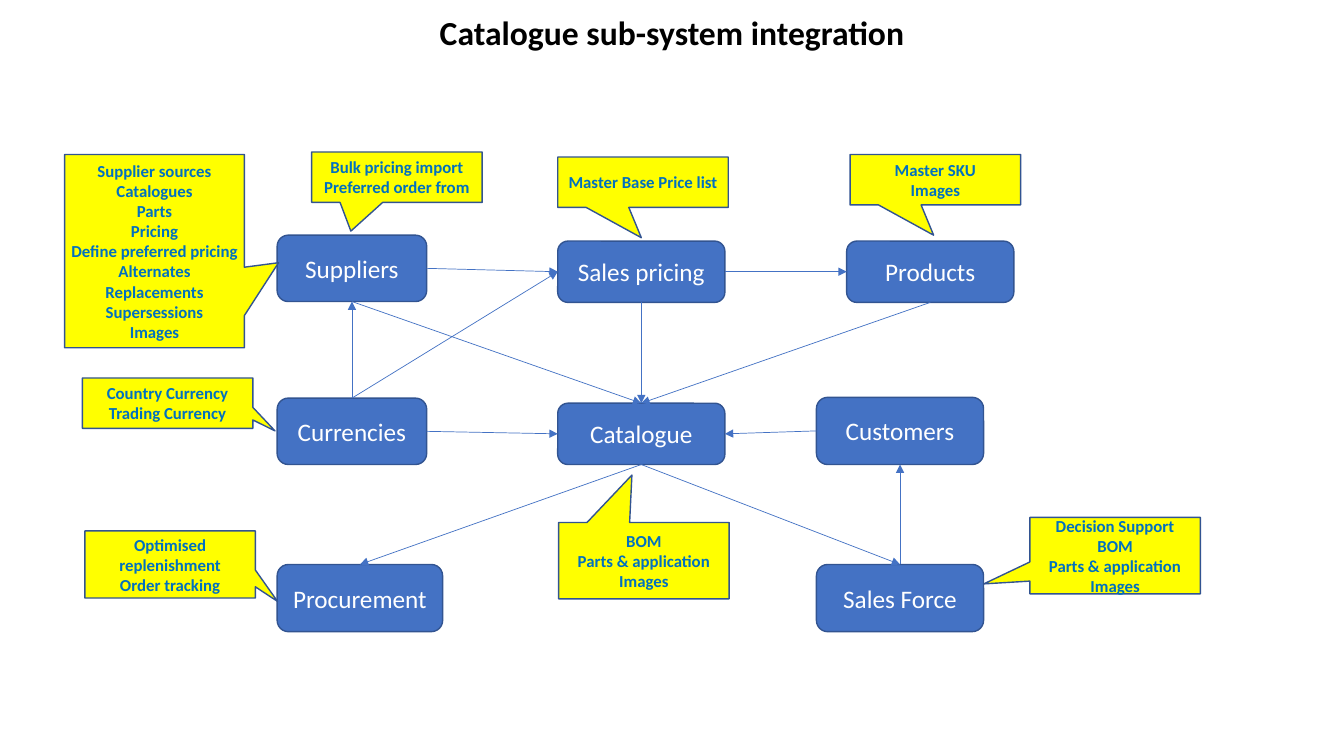
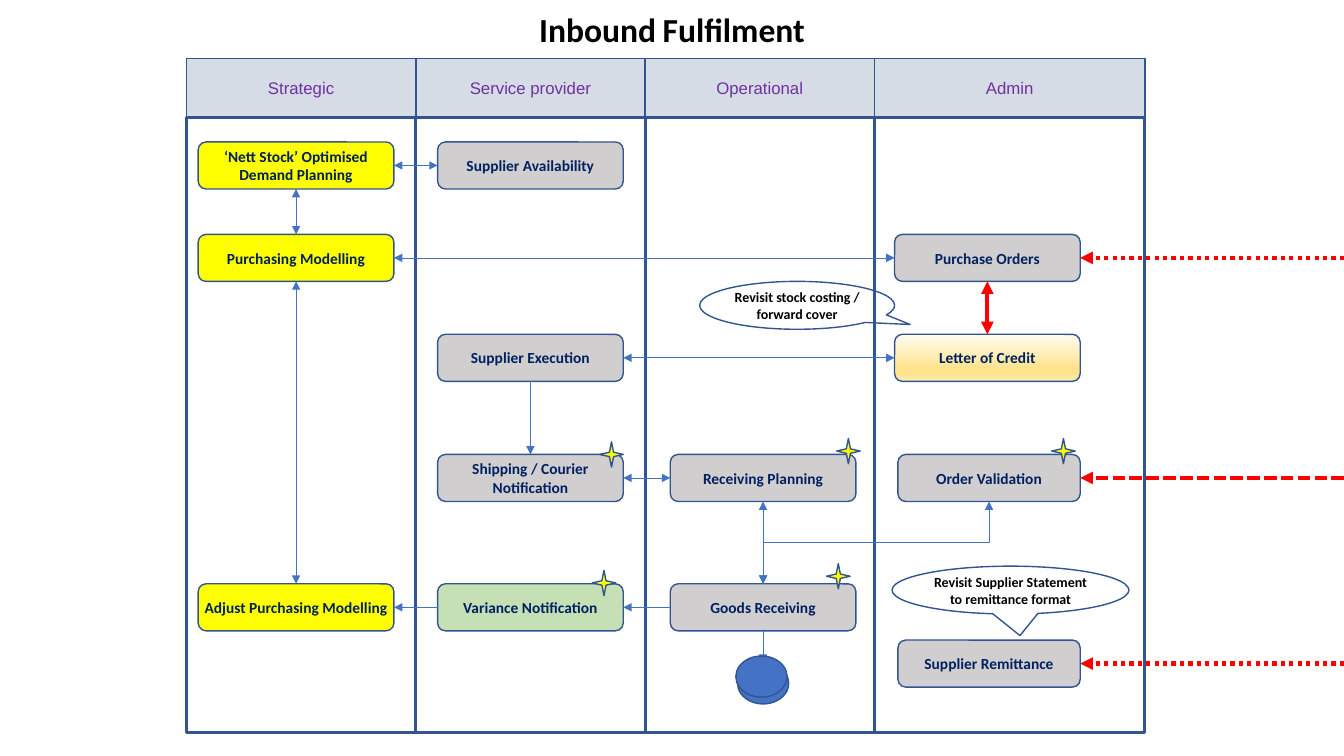
from dataclasses import dataclass
from enum import IntEnum
from typing import NamedTuple, Optional

from lxml.etree import SubElement
from pptx import Presentation
from pptx.dml.color import RGBColor
from pptx.enum.dml import MSO_LINE
from pptx.enum.shapes import MSO_CONNECTOR, MSO_SHAPE
from pptx.enum.text import MSO_ANCHOR, MSO_AUTO_SIZE, PP_ALIGN
from pptx.oxml.ns import qn
from pptx.util import Emu, Inches, Pt

# The slide is a grid of 160 columns by 90 rows of square cells.
COLUMNS, ROWS = 160, 90
CELL = Inches(7.5) // ROWS

COLORS = {
    "black": "000000", "white": "FFFFFF", "blue": "4472C4", "outline": "325491",
    "yellow": "FFFF00", "note": "0070C0", "header": "D6DCE5", "purple": "7030A0",
    "navy": "002060", "grey": "D0CECE", "green": "C5E0B4", "red": "FF0000",
}
CREDIT_GRADIENT = ((0, "FFFCF2"), (74, "FFE38C"), (83, "FFE38C"), (100, "FFECB2"))


class Site(IntEnum):
    TOP = 0
    LEFT = 1
    BOTTOM = 2
    RIGHT = 3


class Area(NamedTuple):
    left: float
    top: float
    width: float
    height: float


class Span(NamedTuple):
    text: str
    size: int


@dataclass(frozen=True)
class TextStyle:
    size: int
    color: str
    bold: bool = False
    font: str = "Calibri"
    inset: Optional[tuple[float, float]] = None


@dataclass(frozen=True)
class Node:
    text: str
    area: Area
    fill: Optional[str] = "blue"


@dataclass(frozen=True)
class Callout:
    area: Area
    tip: tuple[float, float]
    lines: tuple[str, ...]


@dataclass(frozen=True)
class Link:
    start: str
    start_site: Site
    end: str
    end_site: Site
    both: bool = False
    color: str = "blue"
    weight: float = 0.5


TITLE = TextStyle(24, "black", True)
SYSTEM = TextStyle(18, "white")
NOTE = TextStyle(12, "note", True, inset=(0, 0))
LANE = TextStyle(12, "purple", font="Arial")
STEP = TextStyle(11, "navy", True, inset=(0, 0.6))
REMARK = TextStyle(10, "black", True, inset=(0, 0))


def cells(count: float) -> Emu:
    return Emu(round(count * CELL))


def rgb(name: str) -> RGBColor:
    return RGBColor.from_string(COLORS[name])


def add_span(para, span: Span, style: TextStyle) -> None:
    run = para.add_run()
    run.text = span.text
    run.font.size = Pt(span.size)
    run.font.name = style.font
    run.font.bold = style.bold
    run.font.color.rgb = rgb(style.color)


def write(frame, lines: tuple[str, ...], style: TextStyle) -> None:
    frame.word_wrap = True
    frame.vertical_anchor = MSO_ANCHOR.MIDDLE
    if style.inset:
        frame.margin_left = frame.margin_right = cells(style.inset[0])
        frame.margin_top = frame.margin_bottom = cells(style.inset[1])
    for index, line in enumerate(lines):
        para = frame.add_paragraph() if index else frame.paragraphs[0]
        para.alignment = PP_ALIGN.CENTER
        add_span(para, Span(line, style.size), style)


def add_title(page, top: float, spans: tuple[Span, ...]) -> None:
    box = page.shapes.add_textbox(0, cells(top), cells(COLUMNS), cells(6))
    box.text_frame.word_wrap = True
    box.text_frame.auto_size = MSO_AUTO_SIZE.SHAPE_TO_FIT_TEXT
    para = box.text_frame.paragraphs[0]
    para.alignment = PP_ALIGN.CENTER
    for span in spans:
        add_span(para, span, TITLE)


def add_box(page, preset, area: Area, fill: Optional[str], weight: float = 1):
    box = page.shapes.add_shape(preset, *map(cells, area))
    box.shadow.inherit = False
    if fill:
        box.fill.solid()
        box.fill.fore_color.rgb = rgb(fill)
    else:
        box.fill.background()
    box.line.color.rgb = rgb("outline")
    box.line.width = Pt(weight)
    return box


def add_nodes(page, nodes: tuple[Node, ...], style: TextStyle) -> dict:
    boxes = {}
    for node in nodes:
        box = add_box(page, MSO_SHAPE.ROUNDED_RECTANGLE, node.area, node.fill)
        write(box.text_frame, (node.text,), style)
        boxes[node.text] = box
    return boxes


def add_callouts(page, preset, callouts: tuple[Callout, ...],
                 fill: Optional[str], style: TextStyle) -> None:
    for callout in callouts:
        box = add_box(page, preset, callout.area, fill)
        for index, share in enumerate(callout.tip):
            box.adjustments[index] = share
        write(box.text_frame, callout.lines, style)


def style_line(line, color: str, weight: float, both: bool) -> None:
    line.line.color.rgb = rgb(color)
    line.line.width = Pt(weight)
    outline = line.line._get_or_add_ln()
    for tag in ("a:headEnd", "a:tailEnd") if both else ("a:tailEnd",):
        SubElement(outline, qn(tag), type="triangle")
    SubElement(line.element.spPr, qn("a:effectLst"))


def add_link(page, boxes: dict, link: Link, kind=MSO_CONNECTOR.STRAIGHT):
    line = page.shapes.add_connector(kind, 0, 0, 0, 0)
    line.begin_connect(boxes[link.start], link.start_site)
    line.end_connect(boxes[link.end], link.end_site)
    style_line(line, link.color, link.weight, link.both)
    return line


def add_drop_elbow(page, boxes: dict, link: Link) -> None:
    """Bend down, left and down again: a quarter turn of the preset elbow."""
    line = add_link(page, boxes, link, MSO_CONNECTOR.ELBOW)
    run, drop = line.width, line.height
    middle, centre = line.left + run // 2, line.top + drop // 2
    line.left, line.top = Emu(middle - drop // 2), Emu(centre - run // 2)
    line.width, line.height = drop, run
    frame = line.element.spPr.find(qn("a:xfrm"))
    frame.attrib.pop("flipH", None)
    frame.set("rot", str(90 * 60000))


def add_inbound_arrow(page, box, dash) -> None:
    """Lead a dashed arrow from the slide's right edge to the box."""
    centre = box.top + box.height // 2
    line = page.shapes.add_connector(
        MSO_CONNECTOR.STRAIGHT, cells(COLUMNS), centre, box.left + box.width, centre)
    line.end_connect(box, Site.RIGHT)
    line.line.dash_style = dash
    style_line(line, "red", 3, False)


def shade(box, stops: tuple[tuple[int, str], ...]) -> None:
    box.fill.gradient()
    box.fill.gradient_angle = 270
    stop_list = box.element.spPr.find(qn("a:gradFill")).find(qn("a:gsLst"))
    for stop in list(stop_list):
        stop_list.remove(stop)
    for percent, color in stops:
        stop = SubElement(stop_list, qn("a:gs"), pos=str(percent * 1000))
        SubElement(stop, qn("a:srgbClr"), val=color)


def build_catalogue(page) -> None:
    left, middle, right = 33, 66.4, 97.2
    width, note_width = 19.9, 20.3
    add_title(page, 0.8, (Span("Catalogue sub-system integration", 24),))
    boxes = add_nodes(page, (
        Node("Suppliers", Area(left, 28, 17.8, 7.9)),
        Node("Sales pricing", Area(middle, 28.7, width, 7.3)),
        Node("Products", Area(100.8, 28.7, width, 7.3)),
        Node("Currencies", Area(left, 47.4, 17.8, 7.9)),
        Node("Catalogue", Area(middle, 48, width, 7.3)),
        Node("Customers", Area(right, 47.3, width, 8)),
        Node("Procurement", Area(left, 67.2, 19.7, 8)),
        Node("Sales Force", Area(right, 67.2, width, 8)),
    ), SYSTEM)
    for link in (
        Link("Suppliers", Site.BOTTOM, "Catalogue", Site.TOP),
        Link("Suppliers", Site.RIGHT, "Sales pricing", Site.LEFT),
        Link("Sales pricing", Site.BOTTOM, "Catalogue", Site.TOP),
        Link("Sales pricing", Site.RIGHT, "Products", Site.LEFT),
        Link("Products", Site.BOTTOM, "Catalogue", Site.TOP),
        Link("Currencies", Site.TOP, "Suppliers", Site.BOTTOM),
        Link("Currencies", Site.TOP, "Sales pricing", Site.LEFT),
        Link("Currencies", Site.RIGHT, "Catalogue", Site.LEFT),
        Link("Customers", Site.LEFT, "Catalogue", Site.RIGHT),
        Link("Catalogue", Site.BOTTOM, "Procurement", Site.TOP),
        Link("Catalogue", Site.BOTTOM, "Sales Force", Site.TOP),
        Link("Sales Force", Site.TOP, "Customers", Site.BOTTOM),
    ):
        add_link(page, boxes, link)
    parts = ("BOM", "Parts & application", "Images")
    add_callouts(page, MSO_SHAPE.RECTANGULAR_CALLOUT, (
        Callout(Area(7.7, 18.4, 21.4, 23), (0.69, 0.06), (
            "Supplier sources", "Catalogues", "Parts", "Pricing",
            "Define preferred pricing", "Alternates", "Replacements",
            "Supersessions", "Images")),
        Callout(Area(37.1, 18.1, note_width, 6), (-0.27, 1.07),
                ("Bulk pricing import", "Preferred order from")),
        Callout(Area(middle, 18.7, note_width, 6), (-0.01, 1.1),
                ("Master Base Price list",)),
        Callout(Area(101.2, 18.4, note_width, 6), (-0.01, 1.1),
                ("Master SKU", "Images")),
        Callout(Area(9.8, 45, note_width, 6), (0.63, 0.55),
                ("Country Currency", "Trading Currency")),
        Callout(Area(10.1, 63.2, note_width, 8), (0.63, 0.55),
                ("Optimised replenishment", "Order tracking")),
        Callout(Area(66.5, 62.2, note_width, 9.1), (-0.07, -1.12), parts),
        Callout(Area(122.6, 61.6, note_width, 9.1), (-0.77, 0.37),
                ("Decision Support", *parts)),
    ), "yellow", NOTE)


def add_lanes(page) -> None:
    left = 22.2
    for name, width in (("Strategic", 27.3), ("Service provider", 27.3),
                        ("Operational", 27.3), ("Admin", 32.2)):
        header = add_box(page, MSO_SHAPE.FLOWCHART_PROCESS,
                         Area(left, 7, width, 7), "header")
        write(header.text_frame, (name,), LANE)
        add_box(page, MSO_SHAPE.RECTANGLE, Area(left, 14, width, 73.2), None, 2)
        left += width


def build_fulfilment(page) -> None:
    add_title(page, 0.5, (Span("Inbound", 24), Span(" ", 20), Span("Fulfilment", 24)))
    add_lanes(page)
    columns = {"strategic": (23.6, 23.3), "service": (52.1, 22.1),
               "operational": (79.8, 22.1), "admin": (106.5, 22.1),
               "checks": (106.9, 21.7)}
    rows = (16.9, 27.9, 39.8, 54.1, 69.5, 76.2)

    def step(text: str, column: str, row: int, fill: str = "grey") -> Node:
        left, width = columns[column]
        return Node(text, Area(left, rows[row], width, 5.6), fill)

    demand = "‘Nett Stock’ Optimised Demand Planning"
    shipping = "Shipping / Courier Notification"
    boxes = add_nodes(page, (
        step(demand, "strategic", 0, "yellow"),
        step("Supplier Availability", "service", 0),
        step("Purchasing Modelling", "strategic", 1, "yellow"),
        step("Purchase Orders", "admin", 1),
        step("Supplier Execution", "service", 2),
        step("Letter of Credit", "admin", 2),
        step(shipping, "service", 3),
        step("Receiving Planning", "operational", 3),
        step("Order Validation", "checks", 3),
        step("Adjust Purchasing Modelling", "strategic", 4, "yellow"),
        step("Variance Notification", "service", 4, "green"),
        step("Goods Receiving", "operational", 4),
        step("Supplier Remittance", "checks", 5),
    ), STEP)
    shade(boxes["Letter of Credit"], CREDIT_GRADIENT)
    boxes["store"] = add_box(page, MSO_SHAPE.FLOWCHART_CONNECTOR,
                             Area(87.8, 78.9, 6.1, 4.9), "blue")
    for link in (
        Link("Supplier Availability", Site.LEFT, demand, Site.RIGHT, True),
        Link(demand, Site.BOTTOM, "Purchasing Modelling", Site.TOP, True),
        Link("Purchasing Modelling", Site.RIGHT, "Purchase Orders", Site.LEFT, True),
        Link("Purchasing Modelling", Site.BOTTOM,
             "Adjust Purchasing Modelling", Site.TOP, True),
        Link("Purchase Orders", Site.BOTTOM, "Letter of Credit", Site.TOP, True, "red", 3),
        Link("Supplier Execution", Site.RIGHT, "Letter of Credit", Site.LEFT, True),
        Link("Supplier Execution", Site.BOTTOM, shipping, Site.TOP),
        Link("Receiving Planning", Site.LEFT, shipping, Site.RIGHT, True),
        Link("Receiving Planning", Site.BOTTOM, "Goods Receiving", Site.TOP, True),
        Link("Goods Receiving", Site.LEFT, "Variance Notification", Site.RIGHT),
        Link("Variance Notification", Site.LEFT, "Adjust Purchasing Modelling", Site.RIGHT),
        Link("Goods Receiving", Site.BOTTOM, "store", Site.TOP),
    ):
        add_link(page, boxes, link)
    add_drop_elbow(page, boxes, Link("Order Validation", Site.BOTTOM,
                                     "Goods Receiving", Site.TOP, True))
    for name, dash in (("Purchase Orders", MSO_LINE.ROUND_DOT),
                       ("Order Validation", MSO_LINE.SQUARE_DOT),
                       ("Supplier Remittance", MSO_LINE.ROUND_DOT)):
        add_inbound_arrow(page, boxes[name], dash)
    add_box(page, MSO_SHAPE.FLOWCHART_CONNECTOR, Area(87.6, 78.1, 6.1, 4.9), "blue")
    for left, top in ((71.4, 52.6), (99.6, 52.2), (125.2, 52.2), (70.5, 67.9), (98.4, 67.1)):
        add_box(page, MSO_SHAPE.STAR_4_POINT, Area(left, top, 2.8, 3), "yellow")
    add_callouts(page, MSO_SHAPE.OVAL_CALLOUT, (
        Callout(Area(83.3, 33.5, 23.2, 5.7), (0.58, 0.4),
                ("Revisit stock costing / forward cover",)),
        Callout(Area(106.2, 67.4, 28.2, 5.7), (0.04, 0.95),
                ("Revisit Supplier Statement to remittance format",)),
    ), None, REMARK)


def main() -> None:
    deck = Presentation()
    deck.slide_width, deck.slide_height = cells(COLUMNS), cells(ROWS)
    for build in (build_catalogue, build_fulfilment):
        build(deck.slides.add_slide(deck.slide_layouts[6]))
    deck.save("out.pptx")


if __name__ == "__main__":
    main()
